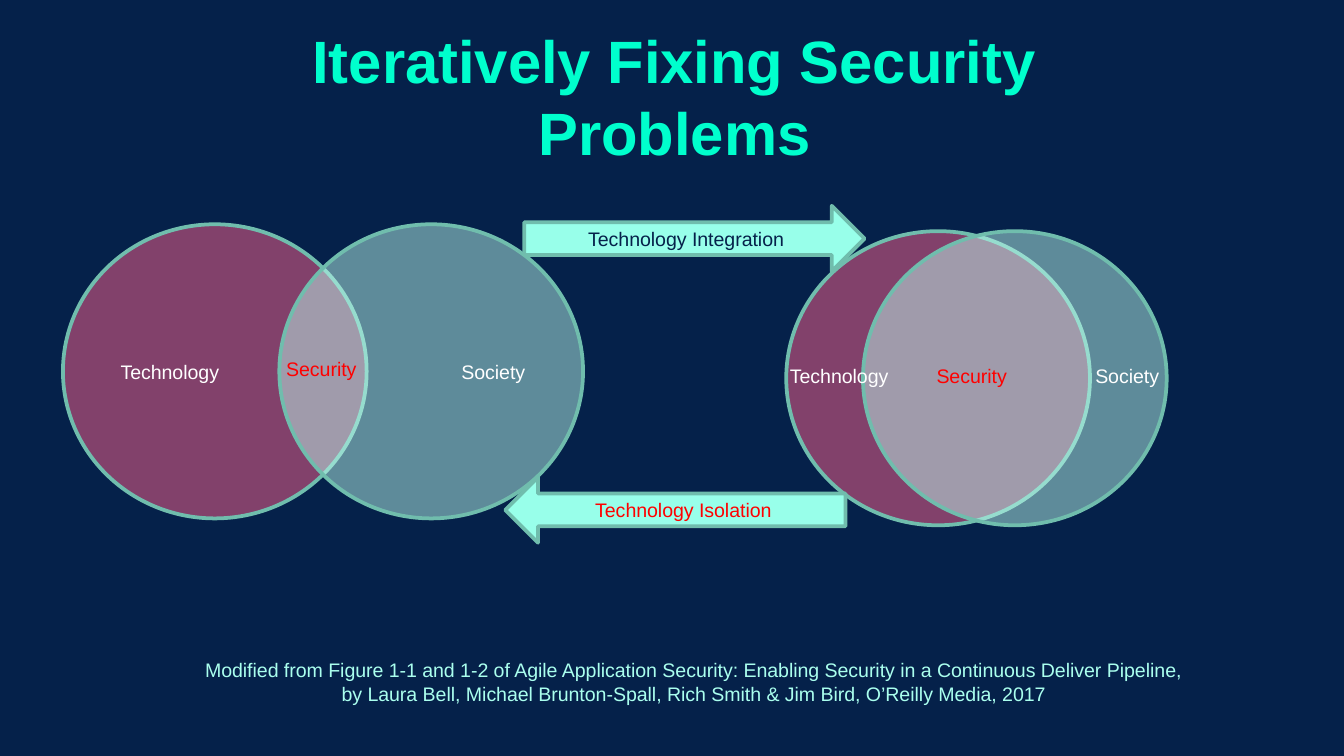
from lxml.etree import SubElement
from pptx import Presentation
from pptx.dml.color import RGBColor
from pptx.enum.shapes import MSO_SHAPE as Preset
from pptx.enum.text import MSO_ANCHOR as Anchor, MSO_AUTO_SIZE as AutoSize, PP_ALIGN as Align
from pptx.oxml.ns import qn
from pptx.util import Cm, Pt

COLORS = {
    "background": "05214A",
    "title": "00FFCD",
    "technology": "FF618C",
    "society": "C1FFF2",
    "outline": "70BDAD",
    "arrow": "98FFEA",
    "source": "AAFFEE",
    "white": "FFFFFF",
    "red": "FF0000",
}
CIRCLE_WIDTH, CIRCLE_HEIGHT = 5.74, 5.56
LABEL_TOP, LABEL_HEIGHT = 2.39, 0.71


def color(name):
    """Return the named colour."""
    return RGBColor.from_string(COLORS[name])


def write(shape, lines, color_name, align=Align.LEFT, size=10.5, bold=False):
    """Write lines as equally formatted paragraphs."""
    frame = shape.text_frame
    frame.text = "\n".join(lines)
    for paragraph in frame.paragraphs:
        paragraph.alignment = align
        font = paragraph.font
        font.name, font.size, font.bold = "Arial", Pt(size), bold
        font.color.rgb = color(color_name)


def add_outlined(shapes, preset, box, fill_name, opacity=100):
    """Add a filled preset shape with the common outline."""
    shape = shapes.add_shape(preset, *map(Cm, box))
    shape.shadow.inherit = False
    shape.fill.solid()
    shape.fill.fore_color.rgb = color(fill_name)
    if opacity < 100:
        fill_color = shape._element.spPr.find(qn("a:solidFill"))[0]
        SubElement(fill_color, qn("a:alpha"), val=str(opacity * 1000))
    shape.line.color.rgb = color("outline")
    shape.line.width = Pt(2)
    shape.text_frame.vertical_anchor = Anchor.MIDDLE
    return shape


def add_label(shapes, box, lines, color_name, align=Align.LEFT):
    """Add an unwrapped text box."""
    label = shapes.add_textbox(*map(Cm, box))
    label.text_frame.word_wrap = False
    label.text_frame.auto_size = AutoSize.SHAPE_TO_FIT_TEXT
    write(label, lines, color_name, align)


def add_venn(slide, left, top, offset, labels):
    """Group two overlapping circles and their labels; return the circles."""
    shapes = slide.shapes.add_group_shape().shapes
    circles = [
        add_outlined(shapes, Preset.OVAL,
                     (left + shift, top, CIRCLE_WIDTH, CIRCLE_HEIGHT), name, opacity)
        for shift, name, opacity in ((0, "technology", 50), (offset, "society", 48))
    ]
    for text, shift, width, color_name in labels:
        box = (left + shift, top + LABEL_TOP, width, LABEL_HEIGHT)
        add_label(shapes, box, [text], color_name)
    return circles


def add_arrow(slide, box, text, color_name, flipped=False):
    """Add a captioned block arrow, pointing left when flipped."""
    arrow = add_outlined(slide.shapes, Preset.RIGHT_ARROW, box, "arrow")
    if flipped:
        arrow._element.spPr.xfrm.set("flipH", "1")
    write(arrow, [text], color_name, Align.CENTER)


def add_title(slide, box, text):
    """Place and format the title placeholder."""
    title = slide.shapes.title
    title.left, title.top, title.width, title.height = map(Cm, box)
    frame = title.text_frame
    frame.auto_size = AutoSize.NONE
    frame.word_wrap = True
    frame.vertical_anchor = Anchor.BOTTOM
    frame.margin_left = frame.margin_right = Cm(0.25)
    frame.margin_top = frame.margin_bottom = Cm(0.25)
    write(title, [text], "title", Align.CENTER, 32, True)


def main():
    """Build and save the presentation."""
    presentation = Presentation()
    presentation.slide_width, presentation.slide_height = Cm(25.4), Cm(14.29)
    slide = presentation.slides.add_slide(presentation.slide_layouts[5])
    slide.background.fill.solid()
    slide.background.fill.fore_color.rgb = color("background")

    add_title(slide, (5.51, 0.79, 14.48, 2.62), "Iteratively Fixing Security Problems")
    technology, society = add_venn(slide, 1.19, 4.24, 4.09, [("Security", 3.97, 1.85, "red")])
    write(technology, ["Technology"], "white")
    write(society, ["Society"], "white", Align.RIGHT)
    add_venn(slide, 14.86, 4.37, 1.45, [
        ("Security", 2.59, 1.85, "red"),
        ("Society", 5.59, 1.75, "white"),
        ("Technology", -0.18, 2.46, "white"),
    ])
    add_label(slide.shapes, (3.38, 12.32, 19.48, 1.14), [
        "Modified from Figure 1-1 and 1-2 of Agile Application Security: "
        "Enabling Security in a Continuous Deliver Pipeline,",
        "by Laura Bell, Michael Brunton-Spall, Rich Smith & Jim Bird, O’Reilly Media, 2017",
    ], "source", Align.CENTER)
    add_arrow(slide, (9.91, 3.89, 6.43, 1.24), "Technology Integration", "background")
    add_arrow(slide, (9.55, 9.02, 6.43, 1.24), "Technology Isolation", "red", flipped=True)
    presentation.save("out.pptx")


if __name__ == "__main__":
    main()
